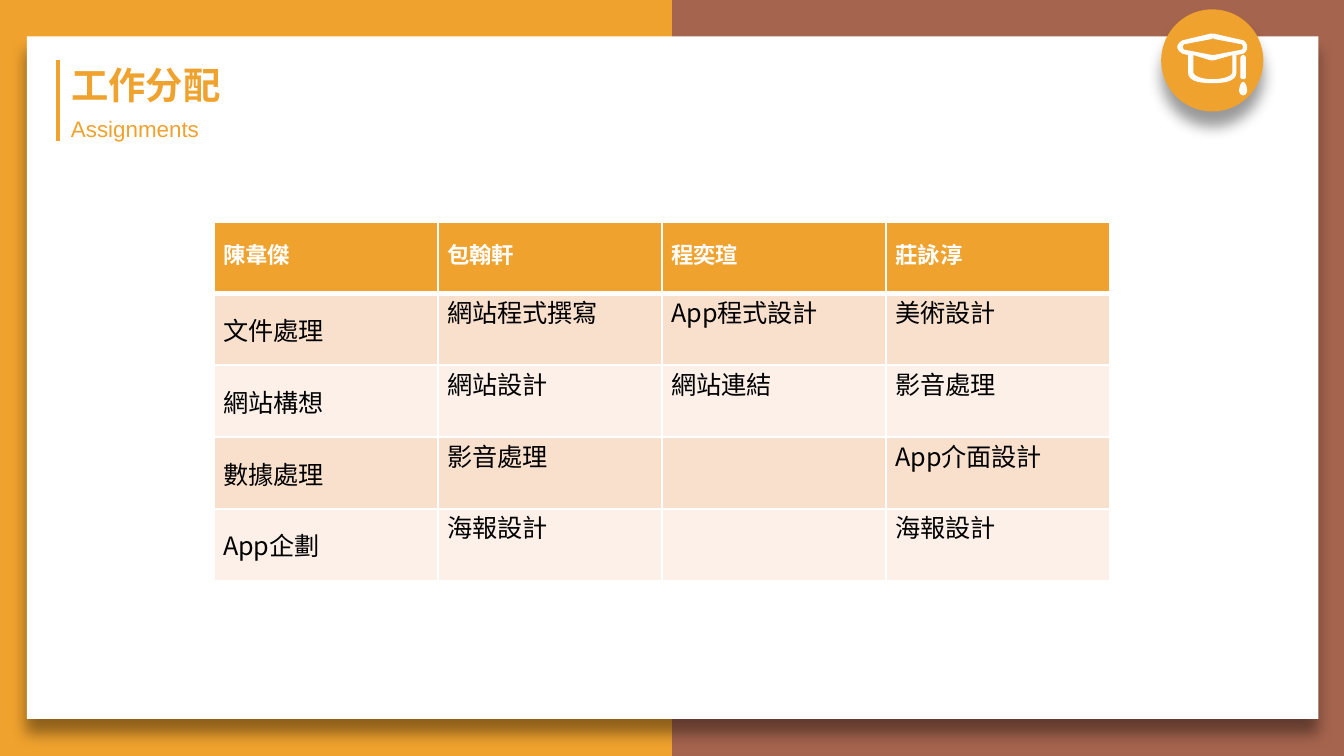
"""Build the work assignments slide with its team table."""
from dataclasses import dataclass

from pptx import Presentation
from pptx.dml.color import RGBColor
from pptx.enum.shapes import MSO_CONNECTOR as Connector, MSO_SHAPE as Preset
from pptx.enum.text import MSO_ANCHOR as Anchor, MSO_AUTO_SIZE as AutoSize, PP_ALIGN as Align
from pptx.oxml import parse_xml
from pptx.oxml.ns import nsdecls
from pptx.util import Inches, Pt


@dataclass(frozen=True)
class Theme:
    orange: str = "F0A22E"
    brown: str = "A5644E"
    white: str = "FFFFFF"
    black: str = "000000"
    bands: tuple = ("F9E0CD", "FCF0E8")
    chinese: str = "Noto Sans CJK SC"
    latin: str = "Arial"
    title: float = 20
    small: float = 12
    body: float = 13.5


THEME = Theme()
SLIDE_WIDTH = 10
SLIDE_HEIGHT = SLIDE_WIDTH * 9 / 16
TITLE = "工作分配"
SUBTITLE = "Assignments"
ASSIGNMENTS = {
    "陳韋傑": ["文件處理", "網站構想", "數據處理", "App企劃"],
    "包翰軒": ["網站程式撰寫", "網站設計", "影音處理", "海報設計"],
    "程奕瑄": ["App程式設計", "網站連結"],
    "莊詠淳": ["美術設計", "影音處理", "App介面設計", "海報設計"],
}
TABLE_BOX = (1.59, 1.65, 6.67, 2.67)

CAP = [
    [(9.03, 0.41), (9.02, 0.41), (8.81, 0.37), (8.8, 0.36, 8.8, 0.34, 8.81, 0.33),
     (9.02, 0.29), (9.02, 0.28, 9.03, 0.28, 9.03, 0.29), (9.24, 0.33),
     (9.25, 0.34, 9.25, 0.36, 9.24, 0.37)],
    [(9.17, 0.54), (9.17, 0.56, 9.12, 0.59, 9.02, 0.59), (8.93, 0.59, 8.88, 0.56, 8.88, 0.54),
     (8.88, 0.41), (9.01, 0.45), (9.03, 0.45), (9.17, 0.41)],
    [(9.28, 0.35), (9.28, 0.33, 9.27, 0.31, 9.25, 0.3), (9.03, 0.25), (9.01, 0.25), (8.8, 0.3),
     (8.78, 0.31, 8.76, 0.33, 8.76, 0.35), (8.76, 0.37, 8.78, 0.39, 8.8, 0.4), (8.84, 0.41),
     (8.84, 0.54), (8.84, 0.59, 8.89, 0.62, 9.02, 0.62), (9.15, 0.62, 9.2, 0.59, 9.2, 0.54),
     (9.2, 0.41), (9.25, 0.4), (9.27, 0.39, 9.28, 0.37, 9.28, 0.35)],
]
CORD = [[(9.23, 0.43), (9.23, 0.58), (9.23, 0.58, 9.24, 0.59, 9.25, 0.59),
         (9.26, 0.59, 9.27, 0.58, 9.27, 0.58), (9.27, 0.43),
         (9.27, 0.42, 9.26, 0.41, 9.25, 0.41), (9.24, 0.41, 9.23, 0.42, 9.23, 0.43)]]
TASSEL = [[(9.25, 0.61), (9.23, 0.61, 9.22, 0.66, 9.22, 0.67), (9.22, 0.69, 9.23, 0.71, 9.25, 0.71),
           (9.27, 0.71, 9.28, 0.69, 9.28, 0.67), (9.28, 0.66, 9.27, 0.61, 9.25, 0.61)]]


def paint(target, color):
    target.fill.solid()
    target.fill.fore_color.rgb = RGBColor.from_string(color)


def style_shape(shape, color, shadow=False):
    paint(shape, color)
    shape.line.fill.background()
    shape.shadow.inherit = False
    if shadow:
        effects = shape._element.spPr.find("{*}effectLst")
        effects.append(parse_xml(
            f'<a:outerShdw {nsdecls("a")} blurRad="{Pt(8)}" dist="{Pt(8)}" dir="5400000" '
            f'algn="t" rotWithShape="0"><a:srgbClr val="{THEME.black}">'
            '<a:alpha val="40000"/></a:srgbClr></a:outerShdw>'))


def add_preset(shapes, preset, box, color, shadow=False):
    shape = shapes.add_shape(preset, *map(Inches, box))
    style_shape(shape, color, shadow)


def trace(contour, steps=6):
    points = [contour[0]]
    for segment in contour[1:]:
        if len(segment) == 2:
            points.append(segment)
            continue
        controls = [points[-1], segment[:2], segment[2:4], segment[4:]]
        for step in range(1, steps + 1):
            t = step / steps
            weights = ((1 - t) ** 3, 3 * t * (1 - t) ** 2, 3 * t * t * (1 - t), t ** 3)
            points.append(tuple(sum(w * c[axis] for w, c in zip(weights, controls))
                                for axis in (0, 1)))
    return [(Inches(x), Inches(y)) for x, y in points]


def add_outline(shapes, contours):
    first, *others = map(trace, contours)
    builder = shapes.build_freeform(*first[0])
    builder.add_line_segments(first[1:])
    for points in others:
        builder.move_to(*points[0])
        builder.add_line_segments(points[1:])
    style_shape(builder.convert_to_shape(), THEME.white)


def add_run(paragraph, text, size, font, color, bold=False):
    run = paragraph.add_run()
    run.text = text
    run.font.size, run.font.name, run.font.bold = Pt(size), font, bold
    run.font.color.rgb = RGBColor.from_string(color)
    run._r.get_or_add_rPr().append(
        parse_xml(f'<a:ea {nsdecls("a")} typeface="{font}"/>'))


def write_heading(shape, box, *run_style):
    shape.left, shape.top, shape.width, shape.height = map(Inches, box)
    frame = shape.text_frame
    frame.word_wrap = False
    frame.auto_size = AutoSize.SHAPE_TO_FIT_TEXT
    frame.vertical_anchor = Anchor.TOP
    paragraph = frame.paragraphs[0]
    paragraph.alignment = Align.LEFT
    add_run(paragraph, *run_style)


def set_borders(cell, is_header):
    properties = cell._tc.get_or_add_tcPr()
    for index, side in enumerate(("lnL", "lnR", "lnT", "lnB")):
        width = Pt(3 if is_header and side == "lnB" else 1)
        properties.insert(index, parse_xml(
            f'<a:{side} {nsdecls("a")} w="{width}"><a:solidFill>'
            f'<a:srgbClr val="{THEME.white}"/></a:solidFill></a:{side}>'))


def add_assignments(slide):
    row_count = 1 + max(map(len, ASSIGNMENTS.values()))
    frame = slide.shapes.add_table(row_count, len(ASSIGNMENTS), *map(Inches, TABLE_BOX))
    table = frame.table
    table.horz_banding = False
    for column, (member, tasks) in enumerate(ASSIGNMENTS.items()):
        entries = [member, *tasks]
        for row in range(row_count):
            cell = table.cell(row, column)
            is_header = row == 0
            paint(cell, THEME.orange if is_header else THEME.bands[(row - 1) % 2])
            set_borders(cell, is_header)
            if row >= len(entries):
                continue
            cell.margin_left = cell.margin_right = Inches(0.07)
            cell.margin_top = cell.margin_bottom = 0
            paragraph = cell.text_frame.paragraphs[0]
            if is_header or column == 0:
                paragraph.alignment = Align.JUSTIFY
                paragraph.line_spacing = 1.5
            add_run(paragraph, entries[row], THEME.small if is_header else THEME.body,
                    THEME.chinese, THEME.white if is_header else THEME.black, is_header)


def main():
    presentation = Presentation()
    presentation.slide_width = Inches(SLIDE_WIDTH)
    presentation.slide_height = Inches(SLIDE_HEIGHT)
    slide = presentation.slides.add_slide(presentation.slide_layouts[5])
    shapes = slide.shapes
    paint(slide.background, THEME.brown)

    add_preset(shapes, Preset.RECTANGLE, (0, 0, SLIDE_WIDTH / 2, SLIDE_HEIGHT), THEME.orange)
    add_preset(shapes, Preset.RECTANGLE, (0.2, 0.27, 9.61, 5.08), THEME.white, True)
    rule = shapes.add_connector(Connector.STRAIGHT, *map(Inches, (0.43, 0.45, 0.43, 1.05)))
    rule.line.color.rgb = RGBColor.from_string(THEME.orange)
    rule.line.width = Pt(2.25)
    rule._element.spPr.append(parse_xml(f'<a:effectLst {nsdecls("a")}/>'))

    badge = shapes.add_group_shape().shapes
    add_preset(badge, Preset.OVAL, (8.64, 0.07, 0.76, 0.76), THEME.orange, True)
    for contours in (CAP, CORD, TASSEL):
        add_outline(badge, contours)

    title = shapes.title
    shapes._spTree.append(title._element)
    write_heading(title, (0.43, 0.41, 1.32, 0.44),
                  TITLE, THEME.title, THEME.chinese, THEME.orange, True)
    write_heading(shapes.add_textbox(0, 0, 0, 0), (0.43, 0.81, 1.16, 0.3),
                  SUBTITLE, THEME.small, THEME.latin, THEME.orange)
    add_assignments(slide)
    presentation.save("out.pptx")


if __name__ == "__main__":
    main()
